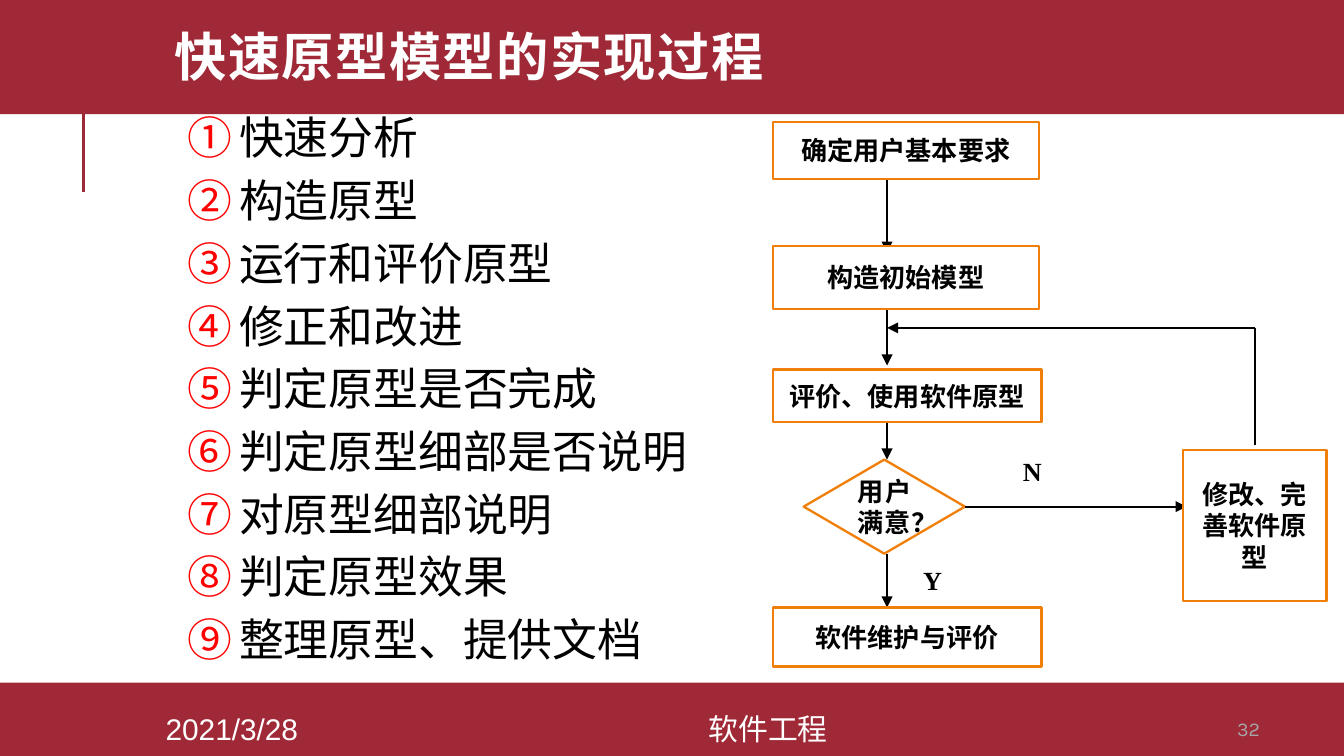
from dataclasses import dataclass

from lxml.etree import SubElement
from pptx import Presentation
from pptx.dml.color import RGBColor
from pptx.enum.shapes import MSO_CONNECTOR, MSO_SHAPE
from pptx.enum.text import MSO_ANCHOR, PP_ALIGN
from pptx.oxml.ns import qn
from pptx.util import Inches, Pt


@dataclass(frozen=True)
class Theme:
    """Colours, fonts, type sizes and grid cell of the slide."""
    band: str = "9F2936"
    outline: str = "F07F09"
    number: str = "FF0000"
    faint: str = "A6A6A6"
    black: str = "000000"
    white: str = "FFFFFF"
    title_font: str = "Montserrat"
    body_font: str = "Arial"
    chart_font: str = "Times New Roman"
    page_font: str = "Karla"
    title_size: float = 28
    body_size: float = 24
    footer_size: float = 16
    chart_size: float = 14
    page_size: float = 10.5
    cell: float = 0.1


THEME = Theme()
COLUMNS, ROWS = 100, 56.25
STEPS = [
    "快速分析", "构造原型", "运行和评价原型", "修正和改进", "判定原型是否完成",
    "判定原型细部是否说明", "对原型细部说明", "判定原型效果", "整理原型、提供文档",
]
FLOW_COLUMN = 66
LOOP_COLUMN = 93.4
LOOP_ROW = 24.4
BOX_LEFT = 57.5


def grid(*cells):
    """Turn counts of grid cells into lengths."""
    return [Inches(count * THEME.cell) for count in cells]


def colour(code):
    """Return a colour from its hex code."""
    return RGBColor.from_string(code)


def write(shape, text, font, size, ink, bold=False, align=PP_ALIGN.CENTER):
    """Put one styled paragraph in the middle of a shape."""
    frame = shape.text_frame
    frame.word_wrap = True
    frame.vertical_anchor = MSO_ANCHOR.MIDDLE
    frame.text = text
    para = frame.paragraphs[0]
    para.alignment = align
    span = para.runs[0]
    span.font.name = font
    span.font.size = Pt(size)
    span.font.bold = bold
    span.font.color.rgb = colour(ink)
    return para


def add_label(page, area, *style, **options):
    """Add a text box with one paragraph."""
    return write(page.shapes.add_textbox(*grid(*area)), *style, **options)


def add_band(page, top, bottom):
    """Add a full-width coloured band."""
    area = grid(0, top, COLUMNS, bottom - top)
    band = page.shapes.add_shape(MSO_SHAPE.RECTANGLE, *area)
    band.shadow.inherit = False
    band.fill.solid()
    band.fill.fore_color.rgb = colour(THEME.band)
    band.line.fill.background()


def add_node(page, text, area, kind=MSO_SHAPE.RECTANGLE, align=PP_ALIGN.CENTER):
    """Add an outlined flowchart node."""
    node = page.shapes.add_shape(kind, *grid(*area))
    node.shadow.inherit = False
    node.fill.solid()
    node.fill.fore_color.rgb = colour(THEME.white)
    node.line.color.rgb = colour(THEME.outline)
    node.line.width = Pt(1.25)
    write(node, text, THEME.chart_font, THEME.chart_size, THEME.black, True, align)
    return node


def add_line(page, start, end, ink=THEME.black, width=1, arrow=True):
    """Add a straight line, with an arrowhead at its end if wanted."""
    line = page.shapes.add_connector(MSO_CONNECTOR.STRAIGHT, *grid(*start, *end))
    line.line.color.rgb = colour(ink)
    line.line.width = Pt(width)
    if arrow:
        outline = line._element.spPr.find(qn("a:ln"))
        SubElement(outline, qn("a:tailEnd"), type="triangle")
    SubElement(line._element.spPr, qn("a:effectLst"))
    return line


def add_steps(page, area):
    """Add the list of steps with circled numbers."""
    frame = page.shapes.add_textbox(*grid(*area)).text_frame
    frame.word_wrap = True
    frame.text = "\n".join(STEPS)
    indent = Inches(0.38)
    for index, para in enumerate(frame.paragraphs):
        props = para._p.get_or_add_pPr()
        props.set("marL", str(indent))
        props.set("indent", str(-indent))
        if index:
            para.space_before = Pt(4.8)
        bullet_ink = SubElement(props, qn("a:buClr"))
        SubElement(bullet_ink, qn("a:srgbClr"), val=THEME.number)
        SubElement(props, qn("a:buFont"), typeface=THEME.body_font)
        SubElement(props, qn("a:buAutoNum"), type="circleNumDbPlain")
        font = para.runs[0].font
        font.name = THEME.body_font
        font.size = Pt(THEME.body_size)
        font.color.rgb = colour(THEME.black)


def add_frame(page):
    """Add the bands, title and footer."""
    add_line(page, (6.2, 14.3), (6.2, 6.8), THEME.band, 1.5, False)
    add_band(page, 50.8, ROWS)
    add_band(page, -0.3, 8.5)
    title = add_label(page, (12, 0, 84.9, 9.1), "快速原型模型的实现过程", THEME.title_font,
                      THEME.title_size, THEME.white, bold=True, align=PP_ALIGN.LEFT)
    title.line_spacing = 0.8
    title.runs[0].font._element.set("spc", "80")
    footer = (THEME.body_font, THEME.footer_size, THEME.white)
    add_label(page, (8.4, 53.1, 17.7, 2.3), "2021/3/28", *footer)
    add_label(page, (26.1, 53.1, 62.1, 2.3), "软件工程", *footer)
    add_label(page, (88.9, 53.1, 8, 2.3), "32", THEME.page_font, THEME.page_size, THEME.faint)


def add_flowchart(page):
    """Add the flowchart of the prototyping cycle."""
    decision = add_node(page, "用户满意？", (59.8, 34.2, 12, 7),
                        MSO_SHAPE.FLOWCHART_DECISION, PP_ALIGN.JUSTIFY)
    for top, bottom in [(13.3, 18.8), (23, 27.2), (30, 34.2), (41.2, 45.2)]:
        add_line(page, (FLOW_COLUMN, top), (FLOW_COLUMN, bottom))
    rejected = add_line(page, (71.8, 37.7), (88.3, 37.7))
    rejected.begin_connect(decision, 3)
    add_line(page, (LOOP_COLUMN, 33.1), (LOOP_COLUMN, LOOP_ROW), arrow=False)
    add_line(page, (LOOP_COLUMN, LOOP_ROW), (FLOW_COLUMN, LOOP_ROW))
    for text, area in [("Y", (67.2, 41.2, 4.4, 3.9)), ("N", (74.9, 33.1, 3.8, 3.9))]:
        add_label(page, area, text, THEME.chart_font, THEME.chart_size, THEME.black, bold=True)
    for text, top, width, height in [
        ("确定用户基本要求", 9.1, 19.8, 4.2),
        ("构造初始模型", 18.3, 19.8, 4.7),
        ("评价、使用软件原型", 27.5, 20, 3.9),
        ("软件维护与评价", 45.2, 20, 4.4),
    ]:
        add_node(page, text, (BOX_LEFT, top, width, height))
    add_node(page, "修改、完善软件原型", (88, 33.5, 10.7, 11.2))


def main():
    """Build the slide and save the deck."""
    deck = Presentation()
    deck.slide_width, deck.slide_height = grid(COLUMNS, ROWS)
    page = deck.slides.add_slide(deck.slide_layouts[6])
    add_frame(page)
    add_steps(page, (13, 7.7, 44.5, 43.8))
    add_flowchart(page)
    deck.save("out.pptx")


if __name__ == "__main__":
    main()
